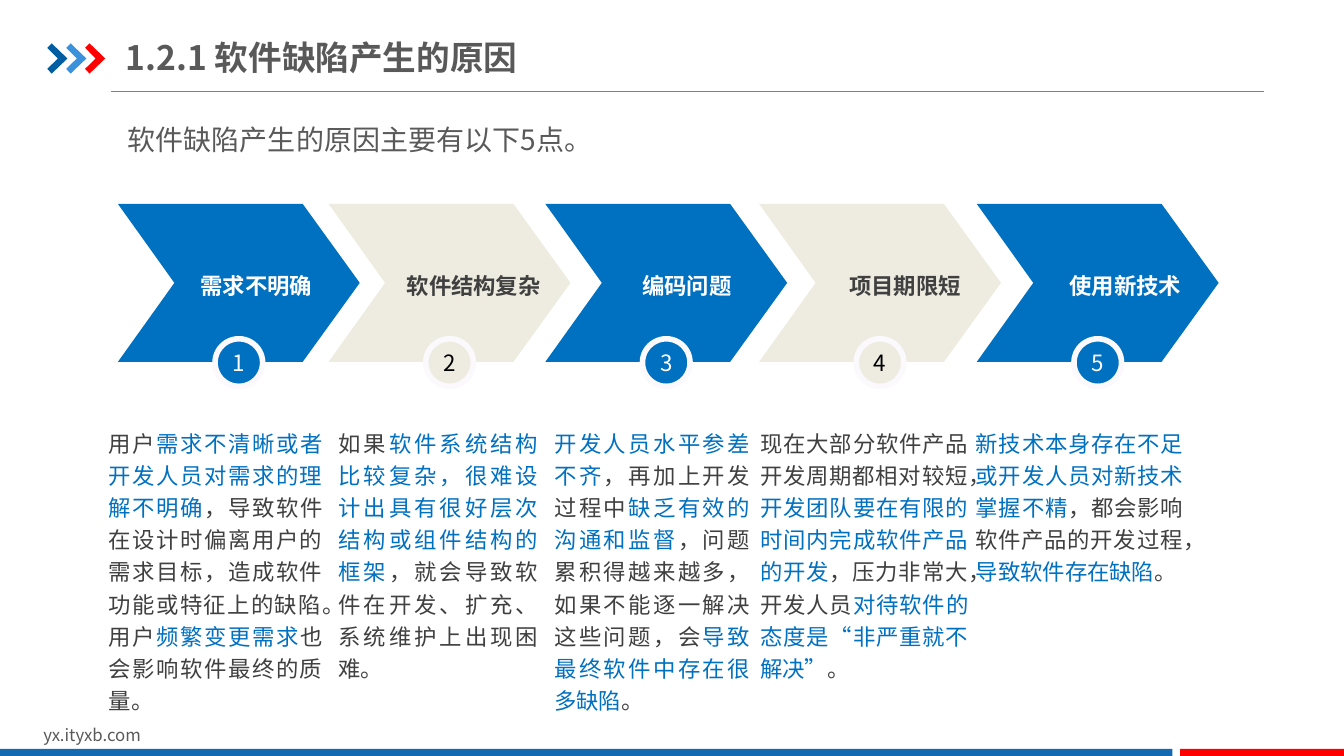
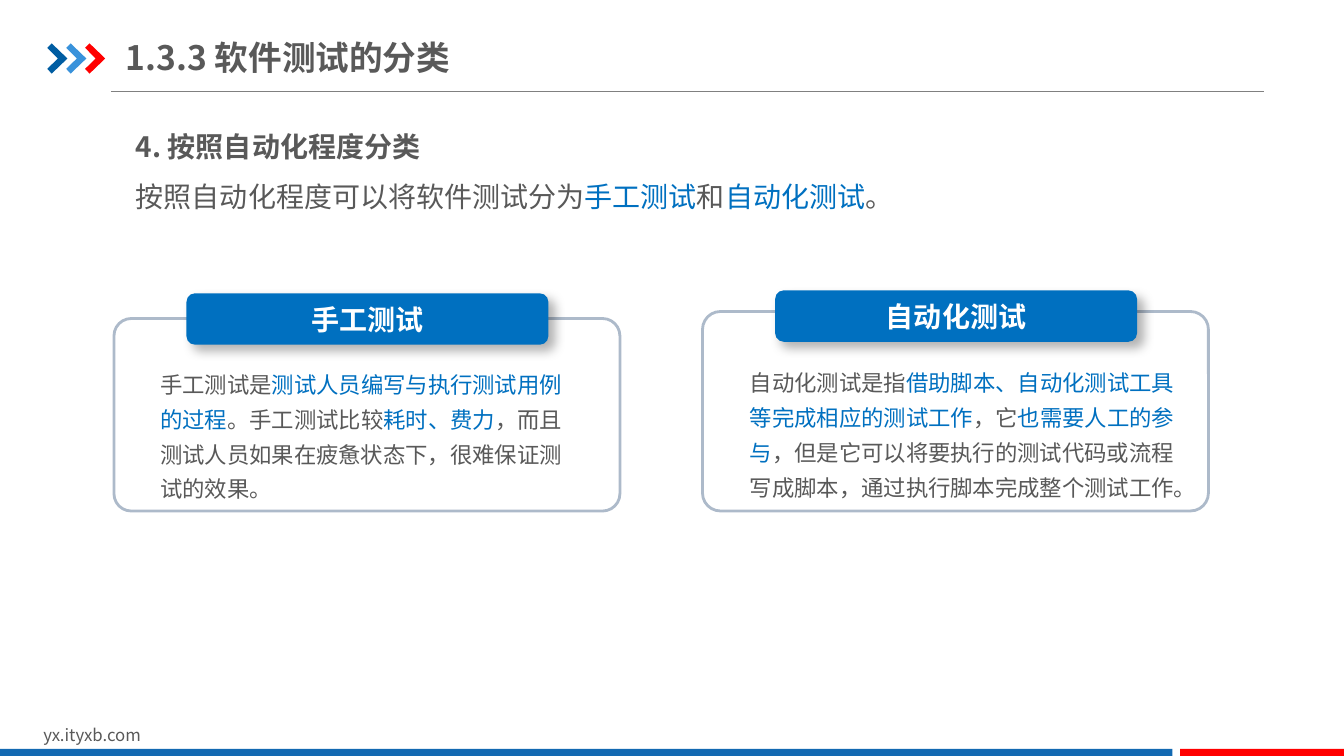
from dataclasses import dataclass

from lxml.etree import SubElement
from pptx import Presentation
from pptx.dml.color import RGBColor
from pptx.enum.shapes import MSO_CONNECTOR, MSO_SHAPE
from pptx.enum.text import MSO_ANCHOR, PP_ALIGN
from pptx.oxml.ns import qn
from pptx.shapes.autoshape import Shape
from pptx.slide import Slide
from pptx.text.text import TextFrame
from pptx.util import Pt

FONT = "Noto Sans CJK SC"
BLUE = RGBColor(0x00, 0x70, 0xC0)
BEIGE = RGBColor(0xEE, 0xEC, 0xE1)
WHITE = RGBColor(0xFF, 0xFF, 0xFF)
BLACK = RGBColor(0x00, 0x00, 0x00)
RED = RGBColor(0xFF, 0x00, 0x00)
DARK_BLUE = RGBColor(0x00, 0x5D, 0xA2)
LIGHT_BLUE = RGBColor(0x39, 0x92, 0xDB)
BAND_BLUE = RGBColor(0x13, 0x69, 0xB2)
GRAY = RGBColor(0x59, 0x59, 0x59)
DARK_GRAY = RGBColor(0x40, 0x40, 0x40)
RULE_GRAY = RGBColor(0x80, 0x80, 0x80)
CARD_BORDER = RGBColor(0xAD, 0xBA, 0xCA)
RING = RGBColor(0xFB, 0xF9, 0xFC)

Points = list[tuple[float, float]]
TITLE_MARK: Points = [(0, 3.2), (3.2, 0), (14.4, 10.8), (3.2, 21.6), (0, 18.2), (7.6, 10.8)]
STEP_ARROW: Points = [(0, 0), (132, 0), (172.8, 56.5), (132, 113), (0, 113), (40.4, 56.5)]
STEP_TOP = 145.6
STEP_WIDTH = 172.8
BADGE_SIZE = 34


@dataclass(frozen=True)
class Area:
    left: float
    top: float
    width: float
    height: float

    def lengths(self) -> tuple[Pt, Pt, Pt, Pt]:
        return Pt(self.left), Pt(self.top), Pt(self.width), Pt(self.height)


@dataclass(frozen=True)
class TextStyle:
    size: float
    color: RGBColor = GRAY
    bold: bool = False
    align: PP_ALIGN = PP_ALIGN.LEFT
    line_spacing: float = 1.0


@dataclass(frozen=True)
class Step:
    label: str
    left: float
    label_center: float
    body_left: float
    body_width: float
    body: str


@dataclass(frozen=True)
class Card:
    heading: str
    frame: Area
    tab: Area
    body_area: Area
    body: str


STEPS = [
    Step("需求不明确", 84.2, 183.2, 77.8, 152.6,
         "用户|需求不清晰或者开发人员对需求的理解不明确|，导致软件在设计时偏离用户的需求目标，"
         "造成软件功能或特征上的缺陷。用户|频繁变更需求|也会影响软件最终的质量。"),
    Step("软件结构复杂", 234.7, 338.4, 241.9, 142.6,
         "如果|软件系统结构比较复杂，很难设计出具有很好层次结构或组件结构的框架|"
         "，就会导致软件在开发、扩充、系统维护上出现困难。"),
    Step("编码问题", 389.5, 490.7, 396, 139.7,
         "|开发人员水平参差不齐|，再加上开发过程中|缺乏有效的沟通和监督|"
         "，问题累积得越来越多，如果不能逐一解决这些问题，会|导致最终软件中存在很多缺陷|。"),
    Step("项目期限短", 542.2, 646.6, 542.9, 149,
         "现在大部分软件产品开发周期都相对较短，|开发团队要在有限的时间内完成软件产品的开发|"
         "，压力非常大，开发人员|对待软件的态度是“非严重就不解决”|。"),
    Step("使用新技术", 697.7, 803.9, 697, 148.3,
         "|新技术本身存在不足或开发人员对新技术掌握不精|，都会影响软件产品的开发过程，"
         "|导致软件存在缺陷|。"),
]

CARDS = [
    Card("手工测试", Area(81.4, 227.5, 361.4, 137.5), Area(133.2, 209.5, 258.5, 36.7),
         Area(107.3, 255.6, 308.9, 108),
         "手工测试是|测试人员编写与执行测试用例的过程|。手工测试比较|耗时、费力|"
         "，而且测试人员如果在疲惫状态下，很难保证测试的效果。"),
    Card("自动化测试", Area(501.8, 222.5, 361.4, 142.5), Area(553.7, 207.4, 258.5, 36.7),
         Area(528.5, 254.2, 320.4, 109.4),
         "自动化测试是指|借助脚本、自动化测试工具等完成相应的测试工作|，它|也需要人工的参与|"
         "，但是它可以将要执行的测试代码或流程写成脚本，通过执行脚本完成整个测试工作。"),
]


def write_text(frame: TextFrame, lines: list[tuple[str, TextStyle]]) -> None:
    """Write one paragraph per line; every second part between bars is blue."""
    frame.word_wrap = True
    for index, (text, style) in enumerate(lines):
        para = frame.add_paragraph() if index else frame.paragraphs[0]
        para.alignment = style.align
        para.line_spacing = style.line_spacing
        for position, part in enumerate(text.split("|")):
            if not part:
                continue
            span = para.add_run()
            span.text = part
            span.font.size = Pt(style.size)
            span.font.bold = style.bold
            span.font.color.rgb = BLUE if position % 2 else style.color
            span.font.name = FONT
            SubElement(span.font._element, qn("a:ea"), typeface=FONT)


def set_margins(frame: TextFrame, horizontal: float, vertical: float) -> None:
    frame.margin_left = frame.margin_right = Pt(horizontal)
    frame.margin_top = frame.margin_bottom = Pt(vertical)


def add_text(slide: Slide, area: Area, lines: list[tuple[str, TextStyle]],
             margins: tuple[float, float] = (7.2, 3.6),
             anchor: MSO_ANCHOR = MSO_ANCHOR.TOP) -> None:
    frame = slide.shapes.add_textbox(*area.lengths()).text_frame
    set_margins(frame, *margins)
    frame.vertical_anchor = anchor
    write_text(frame, lines)


def paint(shape: Shape, fill: RGBColor | None, line: RGBColor | None = None,
          line_width: float = 0) -> None:
    shape.shadow.inherit = False
    if fill is None:
        shape.fill.background()
    else:
        shape.fill.solid()
        shape.fill.fore_color.rgb = fill
    if line is None:
        shape.line.fill.background()
    else:
        shape.line.color.rgb = line
        shape.line.width = Pt(line_width)


def add_outline(slide: Slide, left: float, top: float, points: Points, fill: RGBColor) -> None:
    corners = [(Pt(left + x), Pt(top + y)) for x, y in points]
    builder = slide.shapes.build_freeform(*corners[0])
    builder.add_line_segments(corners[1:], close=True)
    paint(builder.convert_to_shape(), fill)


def cast_shadow(shape: Shape) -> None:
    effects = shape.element.spPr.find(qn("a:effectLst"))
    shadow = SubElement(effects, qn("a:outerShdw"), blurRad=str(Pt(8)), dist=str(Pt(6)),
                        dir=str(45 * 60000), algn="tl", rotWithShape="0")
    color = SubElement(shadow, qn("a:srgbClr"), val=str(BLACK))
    SubElement(color, qn("a:alpha"), val="30000")


def add_page(deck: Presentation, title: str) -> Slide:
    """Add a slide with the title, rule, marks and footer that all slides share."""
    page = deck.slides.add_slide(deck.slide_layouts[6])
    rule = page.shapes.add_connector(MSO_CONNECTOR.STRAIGHT, Pt(79.2), Pt(65.5), Pt(903), Pt(65.5))
    rule.line.color.rgb = RULE_GRAY
    rule.line.width = Pt(0.75)
    SubElement(rule.element.spPr, qn("a:effectLst"))
    for index, color in enumerate((DARK_BLUE, LIGHT_BLUE, RED)):
        add_outline(page, 33.8 + 13.5 * index, 31, TITLE_MARK, color)
    add_text(page, Area(23.8, 514, 229, 21.6), [("yx.ityxb.com", TextStyle(12))])
    for area, color in ((Area(0, 535, 837.4, 5), BAND_BLUE), (Area(843, 535, 117, 5), RED)):
        paint(page.shapes.add_shape(MSO_SHAPE.RECTANGLE, *area.lengths()), color)
    add_text(page, Area(90, 20.9, 306.7, 39.6), [(title, TextStyle(24, bold=True))],
             (0, 5), MSO_ANCHOR.MIDDLE)
    return page


def add_step(page: Slide, number: int, step: Step) -> None:
    is_blue = number % 2 == 1
    fill = BLUE if is_blue else BEIGE
    add_outline(page, step.left, STEP_TOP, STEP_ARROW, fill)
    label_style = TextStyle(16, WHITE if is_blue else DARK_GRAY, True, PP_ALIGN.CENTER)
    add_text(page, Area(step.label_center - 58, 194.4, 116, 19), [(step.label, label_style)],
             (0, 0), MSO_ANCHOR.MIDDLE)

    badge_area = Area(step.left + (STEP_WIDTH - BADGE_SIZE) / 2, 242, BADGE_SIZE, BADGE_SIZE)
    badge = page.shapes.add_shape(MSO_SHAPE.OVAL, *badge_area.lengths())
    paint(badge, fill, RING, 4)
    set_margins(badge.text_frame, 0, 0)
    badge.text_frame.vertical_anchor = MSO_ANCHOR.MIDDLE
    number_style = TextStyle(16, WHITE if is_blue else BLACK, align=PP_ALIGN.CENTER)
    write_text(badge.text_frame, [(str(number), number_style)])

    body_style = TextStyle(16, DARK_GRAY, align=PP_ALIGN.JUSTIFY, line_spacing=1.2)
    add_text(page, Area(step.body_left, 303.1, step.body_width, 209), [(step.body, body_style)],
             (0, 0))


def add_card(page: Slide, card: Card) -> None:
    frame = page.shapes.add_shape(MSO_SHAPE.ROUNDED_RECTANGLE, *card.frame.lengths())
    frame.adjustments[0] = 0.09
    paint(frame, None, CARD_BORDER, 2)
    tab = page.shapes.add_shape(MSO_SHAPE.ROUNDED_RECTANGLE, *card.tab.lengths())
    paint(tab, BLUE)
    cast_shadow(tab)
    tab.text_frame.vertical_anchor = MSO_ANCHOR.MIDDLE
    write_text(tab.text_frame, [(card.heading, TextStyle(20, WHITE, True, PP_ALIGN.CENTER))])
    add_text(page, card.body_area, [(card.body, TextStyle(16, line_spacing=1.3))])


def build_causes(deck: Presentation) -> None:
    page = add_page(deck, "1.2.1 软件缺陷产生的原因")
    for number, step in enumerate(STEPS, start=1):
        add_step(page, number, step)
    intro_style = TextStyle(20, align=PP_ALIGN.JUSTIFY, line_spacing=1.5)
    add_text(page, Area(84.2, 72, 791, 49), [("软件缺陷产生的原因主要有以下5点。", intro_style)])


def build_test_types(deck: Presentation) -> None:
    page = add_page(deck, "1.3.3 软件测试的分类")
    add_text(page, Area(90, 77, 792, 89), [
        ("4. 按照自动化程度分类", TextStyle(20, bold=True, line_spacing=1.5)),
        ("按照自动化程度可以将软件测试分为|手工测试|和|自动化测试|。",
         TextStyle(20, line_spacing=1.5)),
    ])
    for card in CARDS:
        add_card(page, card)


def main() -> None:
    deck = Presentation()
    deck.slide_width, deck.slide_height = Pt(960), Pt(540)
    build_causes(deck)
    build_test_types(deck)
    deck.save("out.pptx")


if __name__ == "__main__":
    main()
